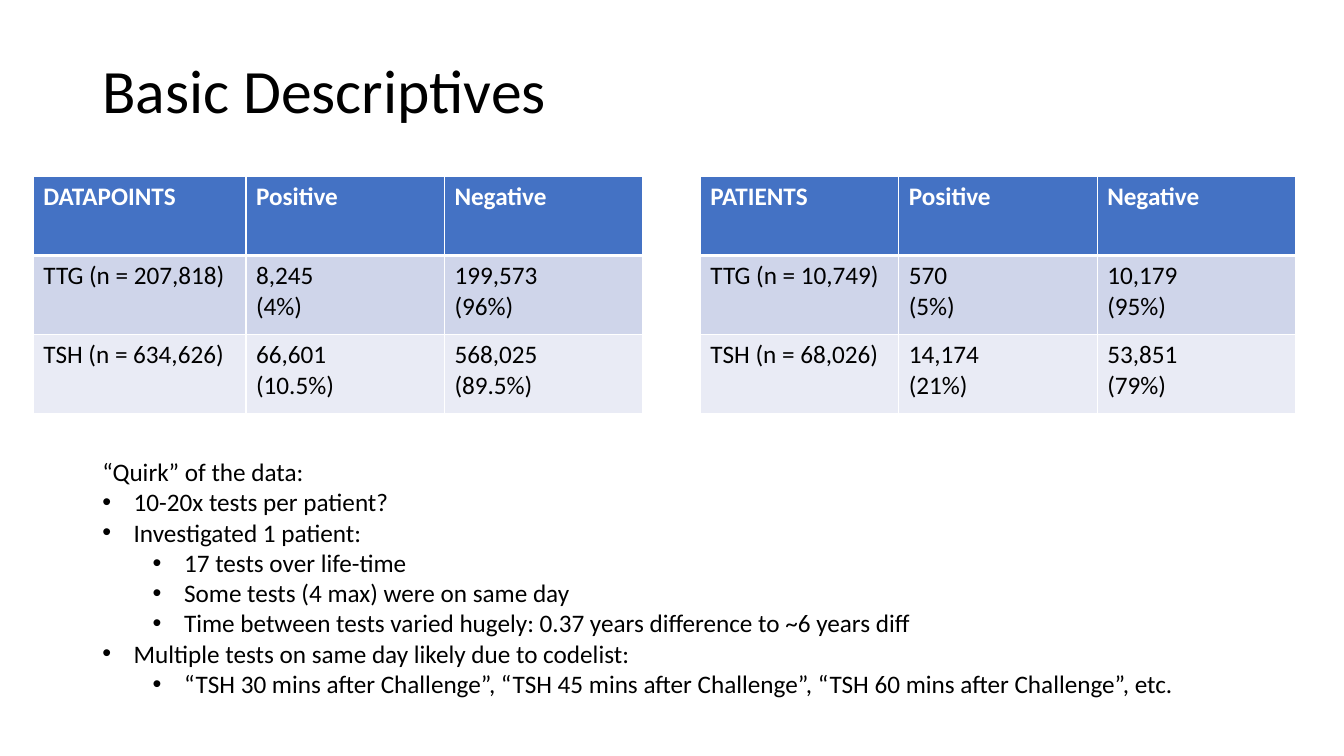
from dataclasses import dataclass

from lxml import etree
from pptx import Presentation
from pptx import util as u
from pptx.dml import color
from pptx.enum import text
from pptx.oxml import ns

FONT = "Calibri"
COLORS = {
    "text": "000000",
    "white": "FFFFFF",
    "header": "4472C4",
    "band_dark": "CFD5EA",
    "band_light": "E9EBF5",
}
ROW_FILLS = ("header", "band_dark", "band_light")
ROW_HEIGHT = 1.99
TABLE_TOP = 4.45
BULLET_INDENT = 0.79
LEVEL_STEP = 1.27


@dataclass
class CountTable:
    left: float
    widths: tuple[float, ...]
    rows: list[tuple[str, ...]]


@dataclass
class Note:
    text: str
    level: int | None = None  # None means no bullet


TABLES = [
    CountTable(0.84, (5.36, 5, 5), [
        ("DATAPOINTS", "Positive", "Negative"),
        ("TTG (n = 207,818)", "8,245\n(4%)", "199,573\n(96%)"),
        ("TSH (n = 634,626)", "66,601\n(10.5%)", "568,025\n(89.5%)"),
    ]),
    CountTable(17.65, (5, 5, 5), [
        ("PATIENTS", "Positive", "Negative"),
        ("TTG (n = 10,749)", "570\n(5%)", "10,179\n(95%)"),
        ("TSH (n = 68,026)", "14,174\n(21%)", "53,851\n(79%)"),
    ]),
]

NOTES = [
    Note("“Quirk” of the data:"),
    Note("10-20x tests per patient?", 0),
    Note("Investigated 1 patient:", 0),
    Note("17 tests over life-time", 1),
    Note("Some tests (4 max) were on same day", 1),
    Note("Time between tests varied hugely: 0.37 years difference to ~6 years diff", 1),
    Note("Multiple tests on same day likely due to codelist:", 0),
    Note("“TSH 30 mins after Challenge”, “TSH 45 mins after Challenge”, "
         "“TSH 60 mins after Challenge”, etc.", 1),
]


def rgb(name: str) -> color.RGBColor:
    return color.RGBColor.from_string(COLORS[name])


def add_run(p, content: str, size: float = 18, fill: str = "text", bold: bool = False) -> None:
    r = p.add_run()
    r.text = content
    r.font.name = FONT
    r.font.size = u.Pt(size)
    r.font.bold = bold
    r.font.color.rgb = rgb(fill)


def add_paragraph(tf, index: int):
    return tf.add_paragraph() if index else tf.paragraphs[0]


def add_text_frame(slide, left: float, top: float, width: float, height: float):
    sp = slide.shapes.add_textbox(u.Cm(left), u.Cm(top), u.Cm(width), u.Cm(height))
    sp.text_frame.word_wrap = True
    return sp.text_frame


def set_borders(cell, row: int) -> None:
    tc_pr = cell._tc.get_or_add_tcPr()
    points = {"lnL": 1, "lnR": 1, "lnT": 3 if row == 1 else 1, "lnB": 3 if row == 0 else 1}
    for side, width in points.items():
        ln = etree.SubElement(tc_pr, ns.qn(f"a:{side}"), w=str(u.Pt(width)))
        fill = etree.SubElement(ln, ns.qn("a:solidFill"))
        etree.SubElement(fill, ns.qn("a:srgbClr"), val=COLORS["white"])


def set_bullet(p, level: int) -> None:
    p.level = level
    p_pr = p._p.get_or_add_pPr()
    p_pr.set("marL", str(u.Cm(BULLET_INDENT + level * LEVEL_STEP)))
    p_pr.set("indent", str(-u.Cm(BULLET_INDENT)))
    etree.SubElement(p_pr, ns.qn("a:buFont"), typeface="Arial")
    etree.SubElement(p_pr, ns.qn("a:buChar"), char="•")


def add_count_table(slide, spec_table: CountTable) -> None:
    rows, widths = spec_table.rows, spec_table.widths
    table = slide.shapes.add_table(
        len(rows), len(widths), u.Cm(spec_table.left), u.Cm(TABLE_TOP),
        u.Cm(sum(widths)), u.Cm(ROW_HEIGHT * len(rows))).table
    table.horz_banding = False
    for column, width in zip(table.columns, widths):
        column.width = u.Cm(width)
    for i, values in enumerate(rows):
        table.rows[i].height = u.Cm(ROW_HEIGHT)
        for j, value in enumerate(values):
            cell = table.cell(i, j)
            set_borders(cell, i)
            cell.fill.solid()
            cell.fill.fore_color.rgb = rgb(ROW_FILLS[i])
            for k, line in enumerate(value.split("\n")):
                p = add_paragraph(cell.text_frame, k)
                add_run(p, line, fill="text" if i else "white", bold=i == 0)


def add_notes_list(slide, notes: list[Note]) -> None:
    tf = add_text_frame(slide, 2.33, 11.38, 29.21, 6.4)
    for i, note in enumerate(notes):
        p = add_paragraph(tf, i)
        if note.level is not None:
            set_bullet(p, note.level)
        add_run(p, note.text)


def main() -> None:
    prs = Presentation()
    prs.slide_width, prs.slide_height = u.Cm(33.87), u.Cm(19.05)
    slide = prs.slides.add_slide(prs.slide_layouts[6])

    # Title
    tf = add_text_frame(slide, 2.33, 0.53, 29.21, 3.68)
    tf.vertical_anchor = text.MSO_ANCHOR.MIDDLE
    p = tf.paragraphs[0]
    p.line_spacing = 0.9
    add_run(p, "Basic Descriptives", size=44)

    # Count tables
    for count_table in TABLES:
        add_count_table(slide, count_table)

    # Remarks on the data
    add_notes_list(slide, NOTES)

    prs.save("out.pptx")


if __name__ == "__main__":
    main()
